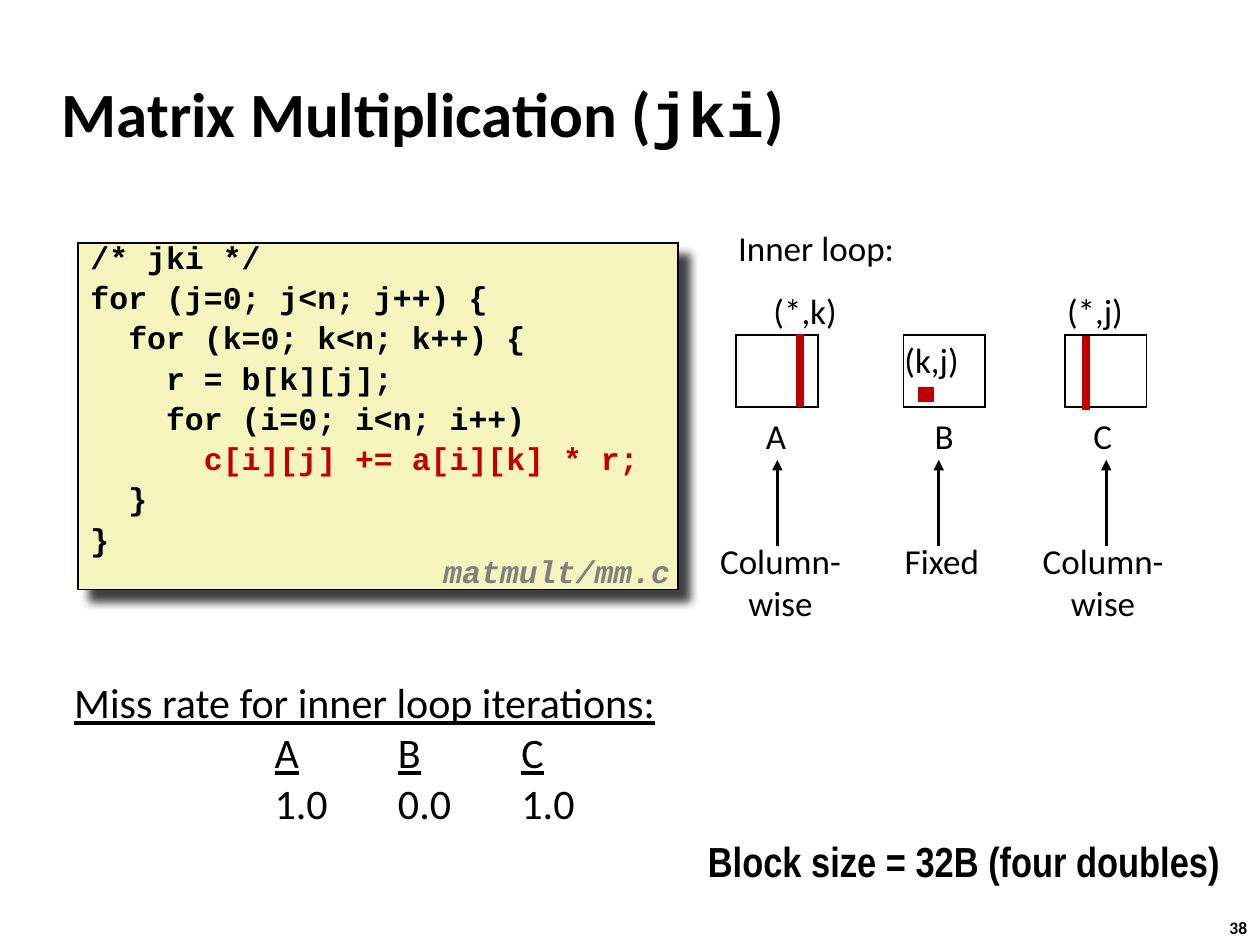
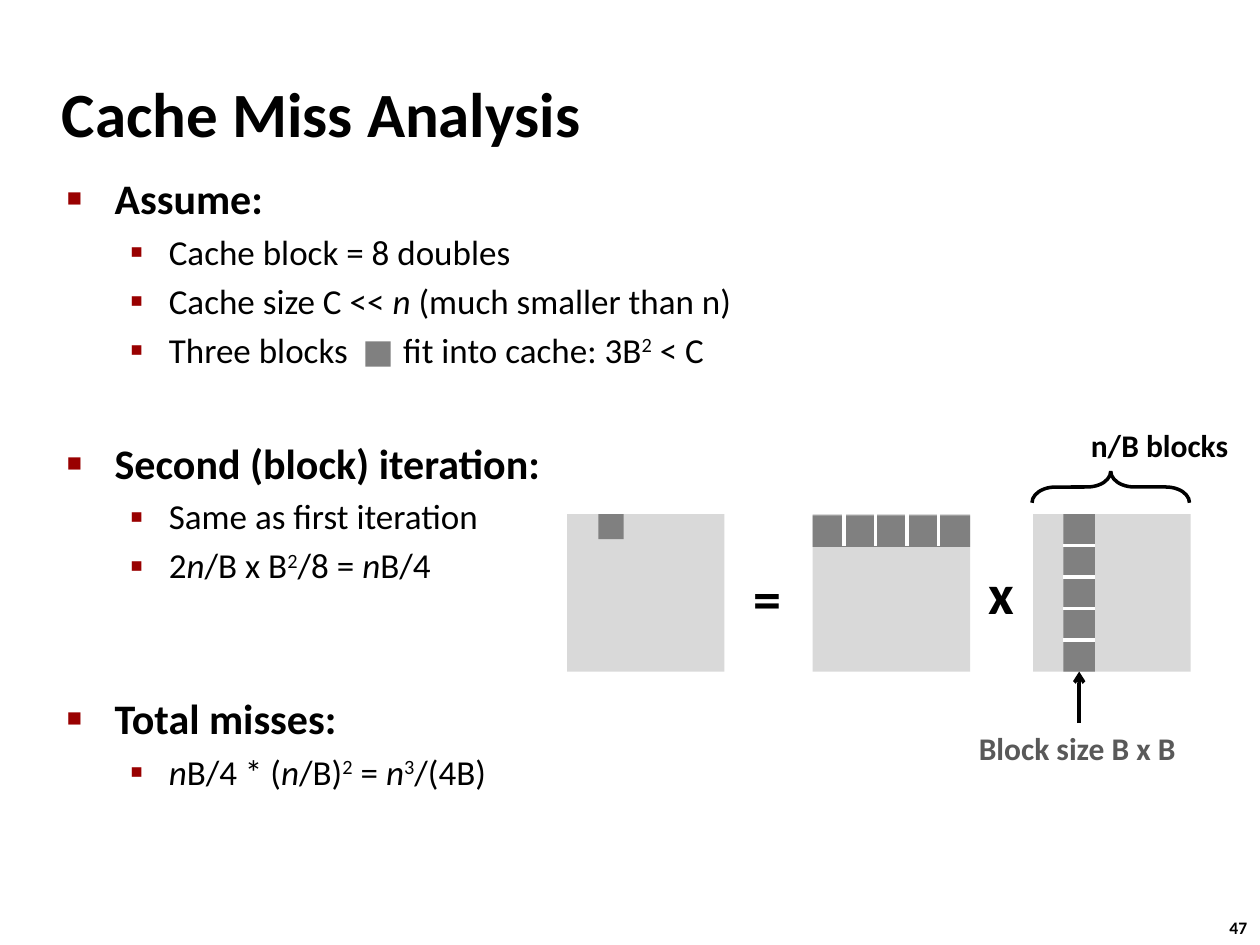
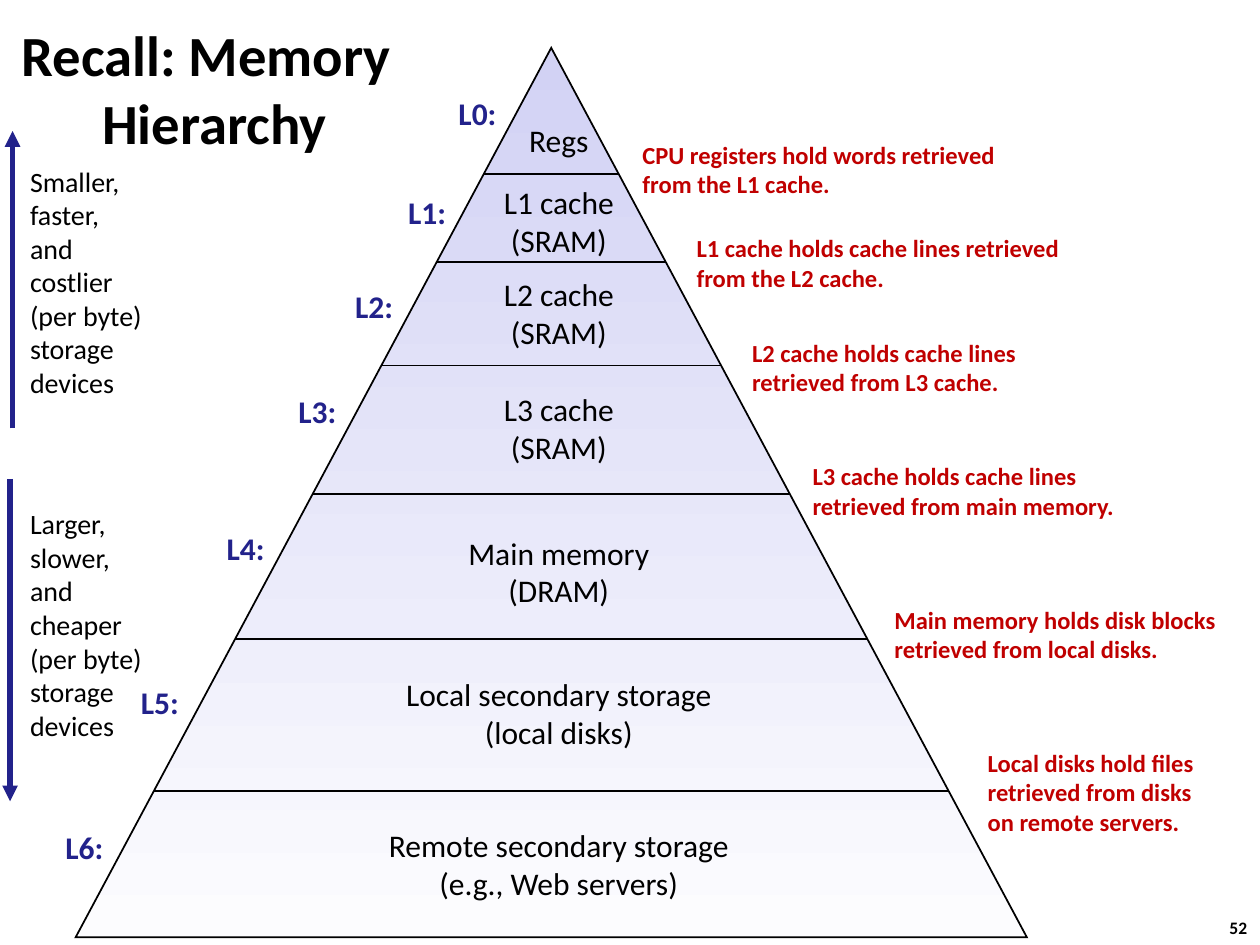
from collections.abc import Sequence
from dataclasses import dataclass, replace

from lxml.etree import SubElement
from pptx import Presentation
from pptx.dml.color import RGBColor
from pptx.enum.shapes import MSO_CONNECTOR, MSO_SHAPE
from pptx.enum.text import MSO_ANCHOR, MSO_AUTO_SIZE, PP_ALIGN
from pptx.oxml.ns import qn
from pptx.shapes.autoshape import Shape
from pptx.shapes.connector import Connector
from pptx.slide import Slide
from pptx.text.text import TextFrame
from pptx.util import Emu, Pt

EMU_PER_PX = 9144  # 100 px to the inch
BLACK = RGBColor(0x00, 0x00, 0x00)
WHITE = RGBColor(0xFF, 0xFF, 0xFF)
RED = RGBColor(0xC0, 0x00, 0x00)
BRIGHT_RED = RGBColor(0xFF, 0x00, 0x00)
NAVY = RGBColor(0x22, 0x22, 0x8B)
BULLET_RED = RGBColor(0x99, 0x00, 0x00)
CODE_YELLOW = RGBColor(0xF6, 0xF5, 0xBD)
LIGHT_GREY = RGBColor(0xD9, 0xD9, 0xD9)
MID_GREY = RGBColor(0x80, 0x80, 0x80)
DARK_GREY = RGBColor(0x59, 0x59, 0x59)
PYRAMID_TOP = RGBColor(0xD2, 0xD2, 0xF4)
PYRAMID_BOTTOM = RGBColor(0xFC, 0xFC, 0xFE)
SANS, MONO, NARROW = "Calibri", "Courier New", "Arial Narrow"
TITLE_BOX = (39, 48, 830, 83)


@dataclass(frozen=True)
class Span:
    text: str
    font: str | None = None
    color: RGBColor | None = None
    italic: bool | None = None
    underline: bool | None = None
    raised: bool = False
    gap: int = 0  # extra letter spacing in points
    new_line: bool = False


@dataclass(frozen=True)
class Style:
    size: float
    font: str = SANS
    bold: bool = False
    italic: bool = False
    underline: bool = False
    color: RGBColor = BLACK
    align: PP_ALIGN = PP_ALIGN.LEFT
    before: float = 0
    spacing: float | None = None
    tabs: tuple[int, ...] = ()


@dataclass(frozen=True)
class Bullet:
    char: str
    percent: int
    margin: int
    hanging: int


@dataclass(frozen=True)
class Matrix:
    name: str
    left: int
    name_box: tuple[int, int]
    access: str
    access_box: tuple[int, int]
    arrow: int


@dataclass(frozen=True)
class Level:
    bottom: int
    label: tuple[int, int]
    caption: str
    caption_top: int
    caption_width: int
    note: str = ""
    note_box: tuple[int, int, int, int] = (0, 0, 0, 0)


@dataclass(frozen=True)
class Trend:
    text: str
    top: int
    arrow_x: int
    start: int
    end: int


Line = str | Sequence[Span]
TITLE = Style(36, bold=True)
LABEL = Style(20)
CENTERED = replace(LABEL, align=PP_ALIGN.CENTER)
CODE = Style(18, MONO, bold=True, before=9, spacing=0.65)
HEADING = Style(24, bold=True, before=4.8)
ITEM = Style(20, before=4)
NOTE = Style(14, bold=True, color=RED)
BIG_BULLET = Bullet("■", 60, 38, 38)
SMALL_BULLET = Bullet("▪", 110, 81, 31)

MATRICES = [
    Matrix("A", 584, (598, 37), "(*,k)", (604, 71), 617),
    Matrix("B", 717, (732, 35), "(k,j)", (708, 63), 745),
    Matrix("C", 845, (858, 35), "(*,j)", (837, 65), 878),
]

N = Span("n", italic=True)
SQUARED = Span("2", raised=True)
CUBED = Span("3", raised=True)
OUTLINE: list[tuple[Style, Bullet, Line]] = [
    (replace(HEADING, before=0), BIG_BULLET, "Assume:"),
    (ITEM, SMALL_BULLET, "Cache block = 8 doubles"),
    (ITEM, SMALL_BULLET, [Span("Cache size C << "), N, Span(" (much smaller than n)")]),
    (ITEM, SMALL_BULLET, [Span("Three blocks"), Span(" ", gap=27),
                          Span("fit into cache: 3B"), SQUARED, Span(" < C")]),
    (replace(HEADING, before=38.5), BIG_BULLET, "Second (block) iteration:"),
    (ITEM, SMALL_BULLET, "Same as first iteration"),
    (ITEM, SMALL_BULLET, [Span("2"), N, Span("/B x B"), SQUARED, Span("/8 = "), N, Span("B/4")]),
    (replace(HEADING, before=61), BIG_BULLET, "Total misses:"),
    (ITEM, SMALL_BULLET, [N, Span("B/4 * ("), N, Span("/B)"), SQUARED, Span(" = "),
                          N, CUBED, Span("/(4B)")]),
]

LEVELS = [
    Level(138, (354, 70), "Regs", 91, 68,
          "CPU registers hold words retrieved from the L1 cache.", (500, 106, 319, 57)),
    Level(208, (314, 148), "L1 cache\n(SRAM)", 140, 115,
          "L1 cache holds cache lines retrieved from the L2 cache.", (543, 180, 310, 57)),
    Level(290, (272, 223), "L2 cache\n(SRAM)", 213, 115,
          "L2 cache holds cache lines\nretrieved from L3 cache.", (587, 263, 288, 57)),
    Level(392, (227, 306), "L3 cache\n(SRAM)", 304, 115,
          "L3 cache holds cache lines\nretrieved from main memory.", (635, 361, 315, 57)),
    Level(507, (170, 415), "Main memory\n(DRAM)", 418, 165,
          "Main memory holds disk blocks retrieved from local disks.", (700, 475, 279, 57)),
    Level(628, (102, 537), "Local secondary storage\n(local disks)", 530, 267,
          "Local disks hold files retrieved from disks\non remote servers.",
          (774, 588, 226, 81)),
    Level(744, (42, 652), "Remote secondary storage\n(e.g., Web servers)", 650, 295),
]
TRENDS = [
    Trend("Smaller,\nfaster,\nand\ncostlier\n(per byte)\nstorage\ndevices", 124, 10, 340, 104),
    Trend("Larger,\nslower,\nand\ncheaper\n(per byte)\nstorage\ndevices", 396, 8, 380, 636),
]


def px(value: float) -> Emu:
    return Emu(round(value * EMU_PER_PX))


def set_indent(paragraph, margin: int, hanging: int) -> None:
    properties = paragraph._p.get_or_add_pPr()
    properties.set("marL", str(px(margin)))
    properties.set("indent", str(px(-hanging)))


def add_bullet(paragraph, bullet: Bullet) -> None:
    set_indent(paragraph, bullet.margin, bullet.hanging)
    properties = paragraph._p.get_or_add_pPr()
    color = SubElement(properties, qn("a:buClr"))
    SubElement(color, qn("a:srgbClr"), val=str(BULLET_RED))
    SubElement(properties, qn("a:buSzPct"), val=str(bullet.percent * 1000))
    SubElement(properties, qn("a:buFont"), typeface="Arial")
    SubElement(properties, qn("a:buChar"), char=bullet.char)


def add_tabs(paragraph, positions: Sequence[int]) -> None:
    tab_list = SubElement(paragraph._p.get_or_add_pPr(), qn("a:tabLst"))
    for position in positions:
        SubElement(tab_list, qn("a:tab"), pos=str(px(position)), algn="l")


def write_line(paragraph, line: Line, style: Style, bullet: Bullet | None = None) -> None:
    """Fill one paragraph; spans override the paragraph's font."""
    if bullet:
        add_bullet(paragraph, bullet)
    if style.tabs:
        add_tabs(paragraph, style.tabs)
    paragraph.alignment = style.align
    paragraph.space_before = Pt(style.before)
    if style.spacing:
        paragraph.line_spacing = style.spacing
    font = paragraph.font
    font.name, font.size = style.font, Pt(style.size)
    font.bold, font.italic, font.underline = style.bold, style.italic, style.underline
    font.color.rgb = style.color
    for span in [Span(line)] if isinstance(line, str) else line:
        if span.new_line:
            paragraph.add_line_break()
        run = paragraph.add_run()
        run.text = span.text
        if span.font:
            run.font.name = span.font
        if span.color is not None:
            run.font.color.rgb = span.color
        if span.italic is not None:
            run.font.italic = span.italic
        if span.underline is not None:
            run.font.underline = span.underline
        if span.raised:
            run._r.get_or_add_rPr().set("baseline", "30000")
        if span.gap:
            run._r.get_or_add_rPr().set("spc", str(span.gap * 100))


def write_lines(frame: TextFrame, lines: Sequence[Line], style: Style) -> None:
    for index, line in enumerate(lines):
        paragraph = frame.add_paragraph() if index else frame.paragraphs[0]
        write_line(paragraph, line, style if index else replace(style, before=0))


def place(shape: Shape, left: int, top: int, width: int, height: int) -> None:
    shape.left, shape.top, shape.width, shape.height = map(px, (left, top, width, height))


def add_text(slide: Slide, box: tuple[float, float, float, float],
             text: str | Sequence[Line], style: Style, wrap: bool = False,
             anchor: MSO_ANCHOR = MSO_ANCHOR.TOP) -> None:
    frame = slide.shapes.add_textbox(*map(px, box)).text_frame
    frame.word_wrap = wrap
    frame.vertical_anchor = anchor
    write_lines(frame, text.split("\n") if isinstance(text, str) else text, style)


def add_box(slide: Slide, box: tuple[int, int, int, int], fill: RGBColor | None,
            line: RGBColor | None = None, weight: float = 1,
            kind: MSO_SHAPE = MSO_SHAPE.RECTANGLE) -> Shape:
    shape = slide.shapes.add_shape(kind, *map(px, box))
    shape.shadow.inherit = False
    if fill is None:
        shape.fill.background()
    else:
        shape.fill.solid()
        shape.fill.fore_color.rgb = fill
    if line is None:
        shape.line.fill.background()
    else:
        shape.line.color.rgb = line
        shape.line.width = Pt(weight)
        SubElement(shape.line._get_or_add_ln(), qn("a:miter"), lim="800000")
    return shape


def add_line(slide: Slide, start: tuple[float, float], end: tuple[float, float],
             color: RGBColor, weight: float, arrowhead: str = "") -> Connector:
    connector = slide.shapes.add_connector(
        MSO_CONNECTOR.STRAIGHT, *map(px, (*start, *end)))
    connector.line.color.rgb = color
    connector.line.width = Pt(weight)
    if arrowhead:
        SubElement(connector.line._get_or_add_ln(), qn("a:tailEnd"), type=arrowhead)
    SubElement(connector._element.spPr, qn("a:effectLst"))
    return connector


def add_drop_shadow(shape: Shape) -> None:
    effects = shape._element.spPr.find(qn("a:effectLst"))
    shadow = SubElement(effects, qn("a:outerShdw"), blurRad=str(Pt(5)), dist=str(Pt(8.5)),
                        dir="2700000", algn="tl", rotWithShape="0")
    color = SubElement(shadow, qn("a:srgbClr"), val=str(BLACK))
    SubElement(color, qn("a:alpha"), val="75000")


def start_slide(presentation, layout: int, number: int, title: Line,
                box: tuple[int, int, int, int] = TITLE_BOX, style: Style = TITLE) -> Slide:
    """Add a slide with its title and page number."""
    slide = presentation.slides.add_slide(presentation.slide_layouts[layout])
    shape = slide.shapes.title
    place(shape, *box)
    shape.text_frame.auto_size = MSO_AUTO_SIZE.NONE
    shape.text_frame.vertical_anchor = MSO_ANCHOR.MIDDLE
    write_line(shape.text_frame.paragraphs[0], title, style)
    add_text(slide, (966, 723, 37, 27), str(number), Style(10, bold=True))
    return slide


def build_multiplication(presentation) -> None:
    slide = start_slide(presentation, 5, 38, [
        Span("Matrix Multiplication ("), Span("jki", font=MONO), Span(")")])
    code = add_box(slide, (62, 193, 476, 275), CODE_YELLOW, BLACK)
    add_drop_shadow(code)
    code.text_frame.word_wrap = True
    code.text_frame.vertical_anchor = MSO_ANCHOR.TOP
    write_lines(code.text_frame, [
        "/* jki */",
        "for (j=0; j<n; j++) {",
        "  for (k=0; k<n; k++) {",
        "    r = b[k][j];",
        "    for (i=0; i<n; i++)",
        [Span("      c[i][j] += a[i][k] * r;", color=RED)],
        "  }",
        "}",
    ], CODE)
    add_text(slide, (342, 436, 208, 39), "matmult/mm.c",
             Style(18, MONO, bold=True, italic=True, color=MID_GREY, spacing=0.94))

    add_text(slide, (576, 175, 145, 43), "Inner loop:", LABEL)
    for matrix in MATRICES:
        add_box(slide, (matrix.left, 266, 65, 57), WHITE, BLACK)
        name_left, name_width = matrix.name_box
        add_text(slide, (name_left, 324, name_width, 43), matrix.name, LABEL)
        access_left, access_width = matrix.access_box
        access_top = 264 if matrix.name == "B" else 225
        add_text(slide, (access_left, access_top, access_width, 43), matrix.access, LABEL)
        add_line(slide, (matrix.arrow, 433), (matrix.arrow, 365), BLACK, 2, "triangle")
    add_box(slide, (732, 310, 6, 6), BRIGHT_RED, RED, 4.5)
    for column_x, column_top in ((635, 265), (862, 267)):
        add_line(slide, (column_x, column_top + 58), (column_x, column_top), RED, 4.5)
    for left, width, pattern in ((561, 117, "Column-\nwise"), (708, 79, "Fixed"),
                                 (817, 117, "Column-\nwise")):
        add_text(slide, (left, 423, width, 77 if "\n" in pattern else 43), pattern, CENTERED)

    names = [part for name in "ABC" for part in (Span("\t"), Span(name, underline=True))]
    add_text(slide, (49, 532, 601, 134), [
        [Span("Miss rate for inner loop iterations:", underline=True)],
        names,
        "\t1.0\t0.0\t1.0",
    ], Style(24, tabs=(159, 257, 355)), wrap=True)
    add_text(slide, (552, 658, 440, 50), "Block size = 32B (four doubles)",
             Style(24, NARROW, bold=True), wrap=True)


def build_miss_analysis(presentation) -> None:
    slide = start_slide(presentation, 1, 47, "Cache Miss Analysis")
    body = slide.placeholders[1]
    place(body, 43, 132, 864, 584)
    frame = body.text_frame
    frame.auto_size = MSO_AUTO_SIZE.NONE
    for index, (style, bullet, line) in enumerate(OUTLINE):
        paragraph = frame.add_paragraph() if index else frame.paragraphs[0]
        write_line(paragraph, line, style, bullet)

    top, side, block = 408, 125, 25
    result_left, row_left, column_left = 450, 645, 820
    for left in (result_left, row_left, column_left):
        add_box(slide, (left, top, side, side), LIGHT_GREY)
    operator = Style(32, bold=True)
    add_text(slide, (588, 442, 43, 64), "=", operator)
    add_text(slide, (775, 438, 41, 64), "x", operator)
    for left, block_top in ((result_left + block, top), (290, 271)):
        add_box(slide, (left, block_top, 20, 20), MID_GREY)

    add_box(slide, (row_left, top + 1, side, block), MID_GREY)
    strip_left = column_left + block - 1
    strip = add_box(slide, (strip_left, top, block, side), MID_GREY)
    for offset in range(block, side, block):
        x, y = row_left + offset, top + offset
        add_line(slide, (x, top), (x, top + block), WHITE, 2)
        add_line(slide, (strip_left + block, y), (strip_left, y), WHITE, 2)

    add_text(slide, (767, 574, 178, 40), "Block size B x B",
             Style(18, bold=True, color=DARK_GREY))
    arrow = add_line(slide, (856.5, 574), (856.5, top + side), BLACK, 2, "arrow")
    arrow.end_connect(strip, 2)
    brace = add_box(slide, (869, 324, block, side), None, BLACK, 2, MSO_SHAPE.LEFT_BRACE)
    brace.adjustments[0] = 0.75
    brace.rotation = 90
    add_text(slide, (856, 333, 130, 40), "n/B blocks", Style(18, bold=True))


def build_hierarchy(presentation) -> None:
    slide = start_slide(presentation, 5, 52,
                        [Span("Recall: Memory"), Span("Hierarchy", new_line=True)],
                        (7, 27, 953, 86), replace(TITLE, size=32.4))
    set_indent(slide.shapes.title.text_frame.paragraphs[0], 64, 64)

    left, top, width, height = 60, 38, 755, 706
    pyramid = add_box(slide, (left, top, width, height), PYRAMID_TOP, BLACK,
                      kind=MSO_SHAPE.ISOSCELES_TRIANGLE)
    pyramid.fill.gradient()
    pyramid.fill.gradient_angle = 90
    for stop, color in zip(pyramid.fill.gradient_stops, (PYRAMID_BOTTOM, PYRAMID_TOP)):
        stop.color.rgb = color

    apex, caption_center = left + width / 2, 443.5
    for index, level in enumerate(LEVELS):
        if level is not LEVELS[-1]:
            half = (level.bottom - top) * width / height / 2
            add_line(slide, (apex - half, level.bottom), (apex + half, level.bottom), BLACK, 1)
        add_text(slide, (*level.label, 51, 40), f"L{index}:",
                 Style(18, bold=True, color=NAVY), anchor=MSO_ANCHOR.MIDDLE)
        caption_box = (caption_center - level.caption_width / 2, level.caption_top,
                       level.caption_width, 71 if "\n" in level.caption else 40)
        add_text(slide, caption_box, level.caption,
                 Style(18, align=PP_ALIGN.CENTER), anchor=MSO_ANCHOR.MIDDLE)
        if level.note:
            add_text(slide, level.note_box, level.note, NOTE, True, MSO_ANCHOR.MIDDLE)

    for trend in TRENDS:
        add_text(slide, (14, trend.top, 110, 199), trend.text, Style(16),
                 anchor=MSO_ANCHOR.MIDDLE)
        add_line(slide, (trend.arrow_x, trend.start), (trend.arrow_x, trend.end),
                 NAVY, 3, "triangle")


def main() -> None:
    presentation = Presentation()
    presentation.slide_width, presentation.slide_height = px(1000), px(750)
    build_multiplication(presentation)
    build_miss_analysis(presentation)
    build_hierarchy(presentation)
    presentation.save("out.pptx")


if __name__ == "__main__":
    main()
